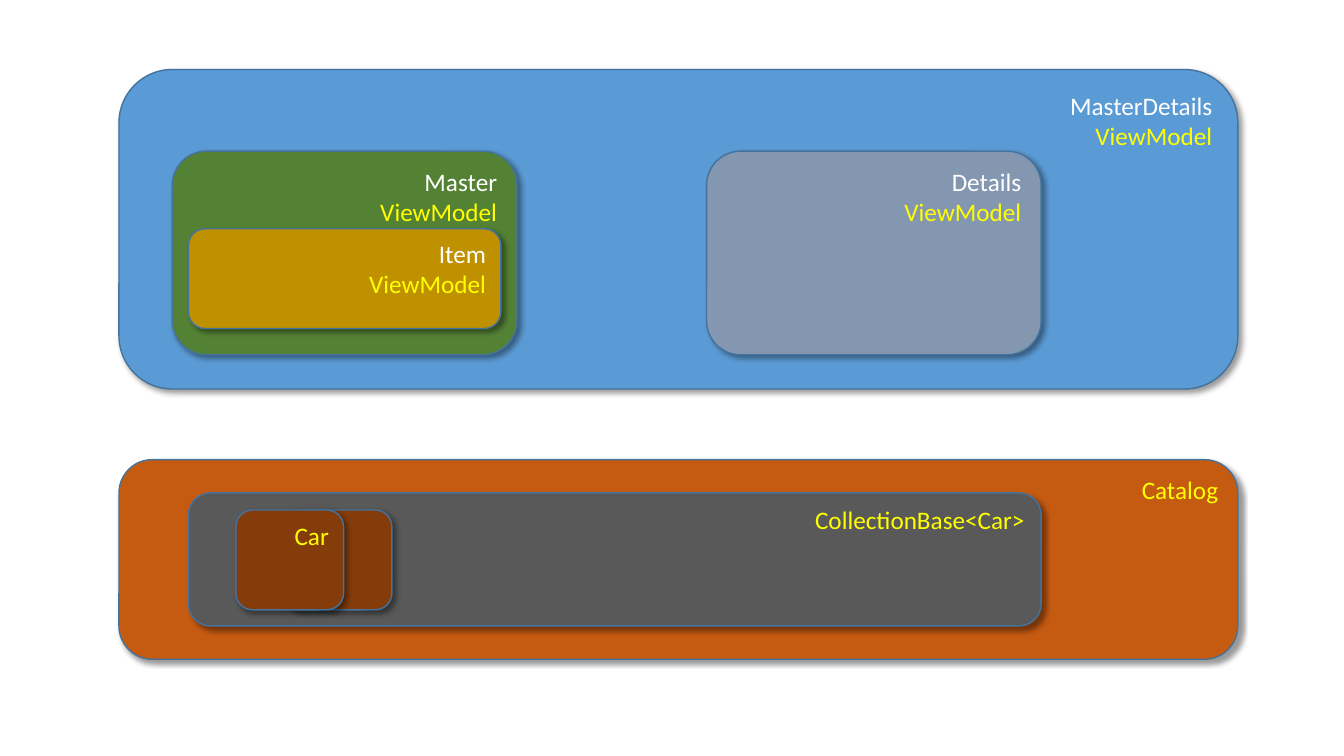
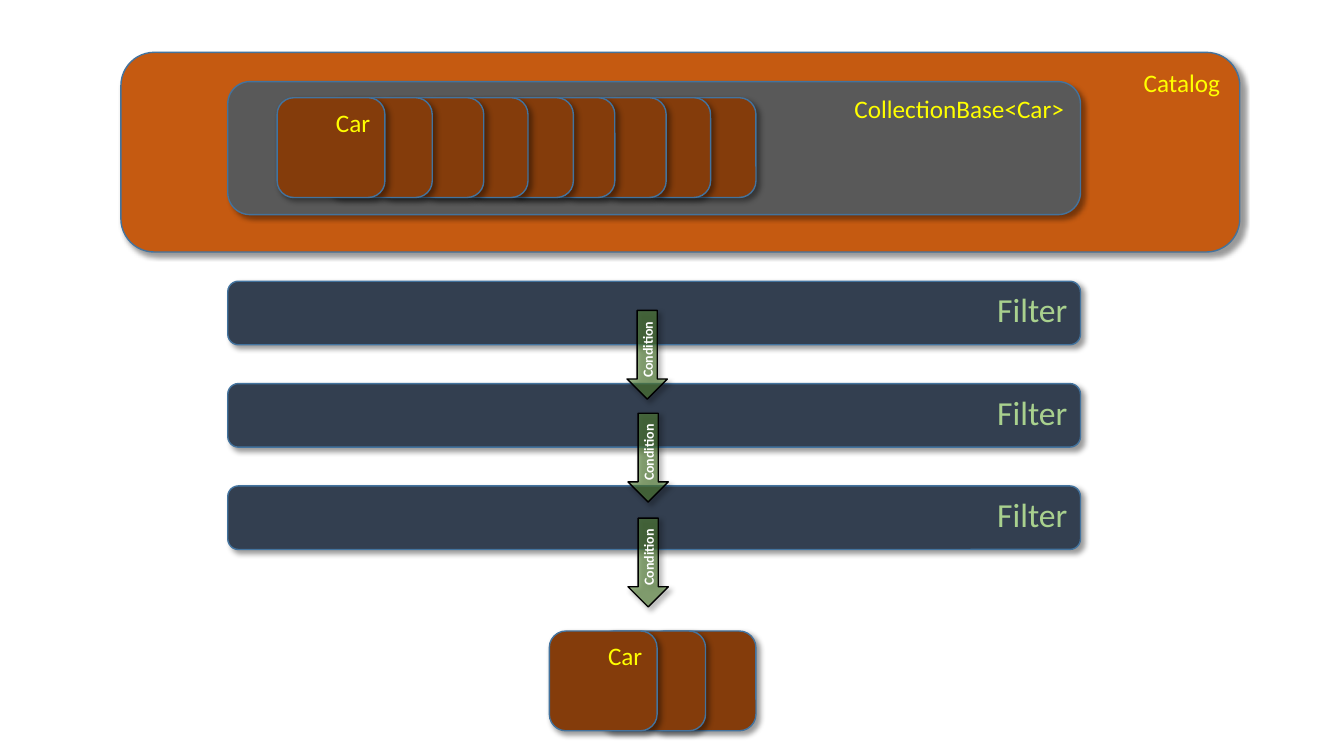
from dataclasses import dataclass
from lxml.etree import SubElement
from pptx import Presentation
from pptx.dml.color import RGBColor as Rgb
from pptx.enum.shapes import MSO_SHAPE as Preset
from pptx.enum.text import MSO_ANCHOR as Anchor, PP_ALIGN as Align
from pptx.oxml.ns import qn
from pptx.util import Pt


# Colours, type sizes and shared element sizes
@dataclass(frozen=True)
class Theme:
    font: str = "Calibri"
    label_size: int = 18
    filter_size: int = 24
    condition_size: int = 10
    white: str = "FFFFFF"
    black: str = "000000"
    yellow: str = "FFFF00"
    border: str = "43739E"
    blue: str = "5B9BD5"
    green: str = "548235"
    gold: str = "BF9000"
    steel: str = "8497B0"
    orange: str = "C55A11"
    grey: str = "595959"
    brown: str = "843C0B"
    navy: str = "333F50"
    light_green: str = "A9D18E"
    catalog: tuple = (799.2, 142.6)
    collection: tuple = (609.1, 95)
    car: tuple = (77, 71.3)
    filter_height: float = 45.4
    condition: tuple = (63.4, 28.8)


THEME = Theme()


def apply_format(target, values):
    for name, value in values.items():
        setattr(target, name, value)


# Formatting shared by every element
def set_alpha(color_node, percent):
    SubElement(color_node, qn("a:alpha"), val=str(percent * 1000))


def add_shadow(shape):
    shape.shadow.inherit = False
    effects = shape.element.spPr.find(qn("a:effectLst"))
    shadow = SubElement(effects, qn("a:outerShdw"), blurRad=str(Pt(4)), dist=str(Pt(3)),
                        dir="2700000", algn="tl", rotWithShape="0")
    set_alpha(SubElement(shadow, qn("a:srgbClr"), val=THEME.black), 40)


def add_block(slide, preset, box, fill, border):
    block = slide.shapes.add_shape(preset, *map(Pt, box))
    block.fill.solid()
    block.fill.fore_color.rgb = Rgb.from_string(fill)
    block.line.color.rgb = Rgb.from_string(border)
    block.line.width = Pt(1)
    add_shadow(block)
    return block


def write_lines(block, lines, size, align, anchor, bold=False):
    frame = block.text_frame
    apply_format(frame, {"word_wrap": True, "vertical_anchor": anchor})
    for index, (text, color) in enumerate(lines):
        paragraph = frame.add_paragraph() if index else frame.paragraphs[0]
        paragraph.alignment = align
        run = paragraph.add_run()
        run.text = text
        apply_format(run.font, {"name": THEME.font, "size": Pt(size), "bold": bold})
        run.font.color.rgb = Rgb.from_string(color)


# Kinds of element
def add_panel(slide, box, fill, lines=(), size=THEME.label_size):
    panel = add_block(slide, Preset.ROUNDED_RECTANGLE, box, fill, THEME.border)
    write_lines(panel, lines, size, Align.RIGHT, Anchor.TOP)


def add_view_model(slide, box, fill, name):
    add_panel(slide, box, fill, [(name, THEME.white), ("ViewModel", THEME.yellow)])


def add_cars(slide, lefts, top):
    """Stack the cars so that the first, labelled one lies in front."""
    for left in reversed(lefts):
        label = [("Car", THEME.yellow)] if left == lefts[0] else []
        add_panel(slide, (left, top, *THEME.car), THEME.brown, label)


def add_catalog(slide, catalog_at, collection_at, car_lefts, car_top):
    add_panel(slide, (*catalog_at, *THEME.catalog), THEME.orange,
              [("Catalog", THEME.yellow)])
    add_panel(slide, (*collection_at, *THEME.collection), THEME.grey,
              [("CollectionBase<Car>", THEME.yellow)])
    add_cars(slide, car_lefts, car_top)


def add_filter(slide, left, top):
    add_panel(slide, (left, top, THEME.collection[0], THEME.filter_height), THEME.navy,
              [("Filter", THEME.light_green)], THEME.filter_size)


def add_condition(slide, left, top):
    arrow = add_block(slide, Preset.RIGHT_ARROW, (left, top, *THEME.condition),
                      THEME.green, THEME.black)
    # Mirrored and turned, the arrow points down while its text reads upwards
    arrow.rotation = 270
    arrow.element.spPr.find(qn("a:xfrm")).set("flipH", "1")
    set_alpha(arrow.element.spPr.find(qn("a:solidFill"))[0], 60)
    write_lines(arrow, [("Condition", THEME.white)], THEME.condition_size,
                Align.CENTER, Anchor.MIDDLE, bold=True)


# Slides
def build_view_models(slide):
    add_view_model(slide, (85, 49.7, 799.2, 228.2), THEME.blue, "MasterDetails")
    add_view_model(slide, (123.1, 108, 246.2, 145.4), THEME.green, "Master")
    add_view_model(slide, (134.6, 163.4, 223.2, 71.3), THEME.gold, "Item")
    add_view_model(slide, (504.7, 108, 239, 145.4), THEME.steel, "Details")
    add_catalog(slide, (85, 328.3), (134.6, 352.1), [168.5, 203], 364.3)


def build_filters(slide):
    left = 162.7
    car_lefts = [198, 231.8, 268.6, 300.2, 332.6, 362.2, 398.9, 430.6, 463]
    add_catalog(slide, (86.4, 37.4), (left, 58.3), car_lefts, 69.8)
    for step in range(3):
        add_filter(slide, left, 200.9 + 73.1 * step)
    add_cars(slide, [392.4, 427, 463], 450.7)
    for condition_left, top in ((430.6, 239), (431.3, 312.5), (431.3, 387.4)):
        add_condition(slide, condition_left, top)


def main():
    deck = Presentation()
    apply_format(deck, {"slide_width": Pt(960), "slide_height": Pt(540)})
    blank = deck.slide_layouts[6]
    for build in (build_view_models, build_filters):
        build(deck.slides.add_slide(blank))
    deck.save("out.pptx")


main()
